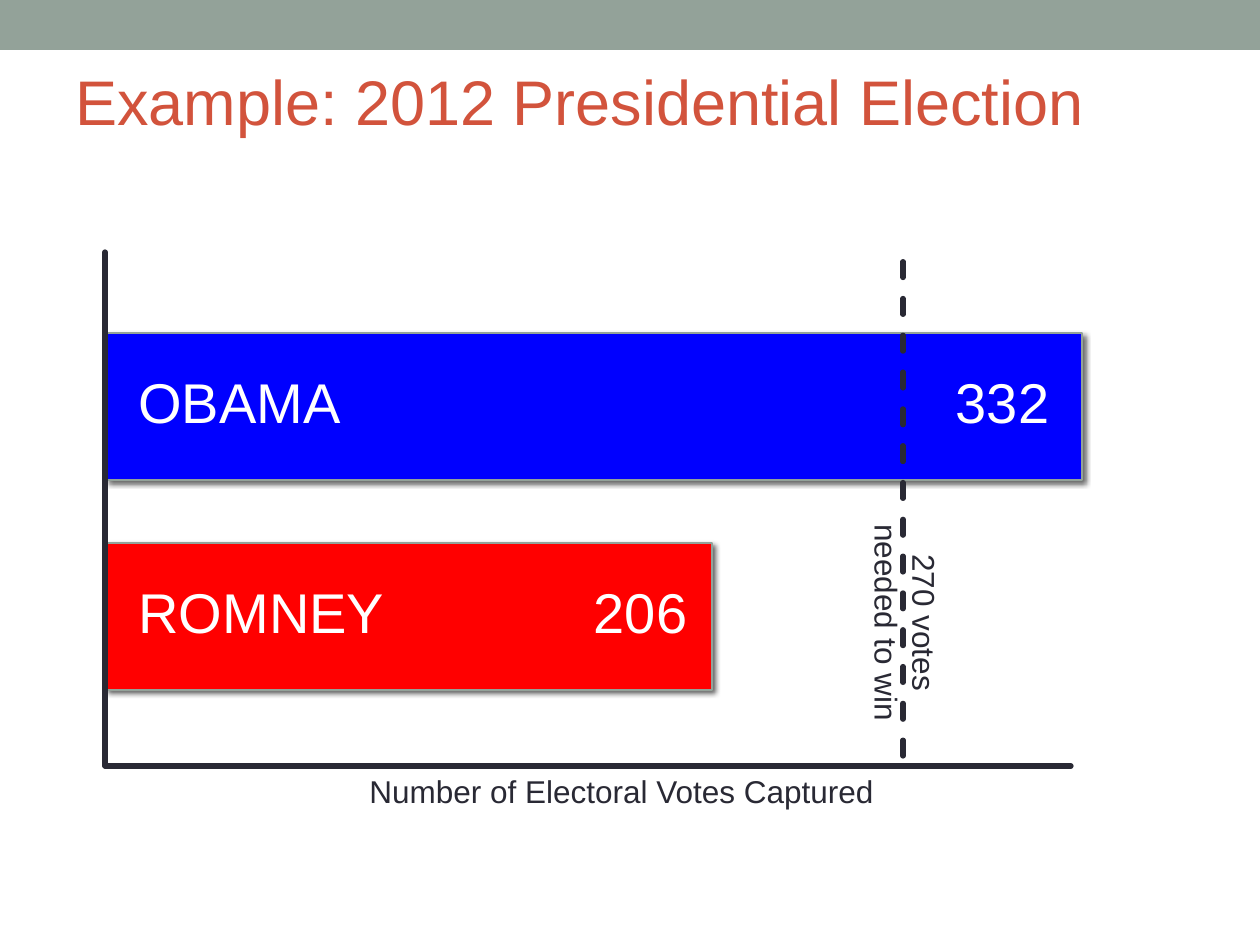
from dataclasses import dataclass

from lxml import etree
from pptx import Presentation
from pptx.dml.color import RGBColor
from pptx.enum.dml import MSO_LINE
from pptx.enum.shapes import MSO_CONNECTOR, MSO_SHAPE
from pptx.enum.text import MSO_ANCHOR, PP_ALIGN
from pptx.oxml.ns import qn
from pptx.util import Pt

RECTANGLE = MSO_SHAPE.RECTANGLE
STRAIGHT = MSO_CONNECTOR.STRAIGHT
DASH = MSO_LINE.DASH
TOP, MIDDLE = MSO_ANCHOR.TOP, MSO_ANCHOR.MIDDLE
LEFT, CENTER = PP_ALIGN.LEFT, PP_ALIGN.CENTER

EMU_PER_PX = 914400 / 126
FONT = "Arial"
COLORS = {
    "band": "93A299",
    "title": "D2533C",
    "ink": "292934",
    "obama": "0000FF",
    "romney": "FF0000",
    "label": "FFFFFF",
    "shadow": "000000",
}
BAR_LEFT, BAR_TOP, BAR_HEIGHT, BAR_STEP = 106, 333, 147, 210
PX_PER_VOTE = 2.94
LABEL_INDENT, LABEL_DROP, LABEL_HEIGHT = 20, 28, 81
TEXT_INSET = 13


@dataclass
class Candidate:
    name: str
    votes: int
    color: str
    figure_gap: int  # from the end of the figure to the end of the bar


@dataclass
class Rule:
    start: tuple[int, int]
    end: tuple[int, int]
    dashed: bool = False


CANDIDATES = [
    Candidate("OBAMA", 332, "obama", 32),
    Candidate("ROMNEY", 206, "romney", 24),
]
RULES = [
    Rule((903, 756), (903, 242), dashed=True),  # votes needed
    Rule((105, 766), (105, 252)),  # vertical axis
    Rule((1071, 766), (105, 766)),  # horizontal axis
]


def px(length: float) -> int:
    return round(length * EMU_PER_PX)


def rgb(color: str) -> RGBColor:
    return RGBColor.from_string(COLORS[color])


def add_box(shapes, x: int, y: int, width: int, height: int, color: str):
    box = shapes.add_shape(RECTANGLE, px(x), px(y), px(width), px(height))
    box.shadow.inherit = False
    box.fill.solid()
    box.fill.fore_color.rgb = rgb(color)
    box.line.fill.background()
    return box


def add_text(shapes, x: int, y: int, width: int, height: int, lines: list[str],
             size: int, color: str, align=LEFT, anchor=TOP, wrap: bool = True,
             tab: int = 0):
    box = shapes.add_textbox(px(x), px(y), px(width), px(height))
    frame = box.text_frame
    frame.word_wrap = wrap
    frame.vertical_anchor = anchor
    frame.text = "\n".join(lines)
    for paragraph in frame.paragraphs:
        paragraph.alignment = align
        if tab:
            tabs = etree.SubElement(paragraph._p.get_or_add_pPr(), qn("a:tabLst"))
            etree.SubElement(tabs, qn("a:tab"), pos=str(px(tab)), algn="r")
        paragraph.font.name = FONT
        paragraph.font.size = Pt(size)
        paragraph.font.color.rgb = rgb(color)
    return box


def add_shadow(box) -> None:
    effects = box._element.spPr.find(qn("a:effectLst"))
    shadow = etree.SubElement(
        effects, qn("a:outerShdw"), blurRad=str(Pt(3)), dist=str(Pt(2)),
        dir=str(45 * 60000), algn="tl", rotWithShape="0")
    tint = etree.SubElement(shadow, qn("a:srgbClr"), val=COLORS["shadow"])
    etree.SubElement(tint, qn("a:alpha"), val="60000")


def add_bar(shapes, row: int, candidate: Candidate) -> None:
    width = round(candidate.votes * PX_PER_VOTE)
    bar = add_box(shapes, BAR_LEFT, BAR_TOP + row * BAR_STEP, width, BAR_HEIGHT,
                  candidate.color)
    bar.line.color.rgb = rgb("band")
    bar.line.width = Pt(0.75)
    add_shadow(bar)


def add_bar_label(shapes, row: int, candidate: Candidate) -> None:
    width = round(candidate.votes * PX_PER_VOTE) - LABEL_INDENT
    add_text(shapes, BAR_LEFT + LABEL_INDENT, BAR_TOP + row * BAR_STEP + LABEL_DROP,
             width, LABEL_HEIGHT, [f"{candidate.name}\t{candidate.votes}"], 32,
             "label", tab=width - TEXT_INSET - candidate.figure_gap)


def add_rule(shapes, rule: Rule) -> None:
    line = shapes.add_connector(STRAIGHT, *map(px, rule.start + rule.end))
    line.line.color.rgb = rgb("ink")
    line.line.width = Pt(3)
    if rule.dashed:
        line.line.dash_style = DASH
    line.line._get_or_add_ln().set("cap", "rnd")
    etree.SubElement(line._element.spPr, qn("a:effectLst"))


def main() -> None:
    deck = Presentation()
    deck.slide_width, deck.slide_height = px(1260), px(945)
    shapes = deck.slides.add_slide(deck.slide_layouts[6]).shapes

    # Top band and title
    add_box(shapes, 0, 0, 1260, 50, "band")
    add_text(shapes, 63, 32, 1134, 136, ["Example: 2012 Presidential Election"],
             36, "title", anchor=MIDDLE)

    # Bars, then their labels
    for row, candidate in enumerate(CANDIDATES):
        add_bar(shapes, row, candidate)
    for row, candidate in enumerate(CANDIDATES):
        add_bar_label(shapes, row, candidate)

    # Axes and winning threshold
    for rule in RULES:
        add_rule(shapes, rule)

    # Captions
    add_text(shapes, 357, 766, 534, 50, ["Number of Electoral Votes Captured"],
             18, "ink")
    threshold = add_text(shapes, 794, 578, 223, 89, ["270 votes", "needed to win"],
                         18, "ink", align=CENTER, wrap=False)
    threshold.rotation = 90

    deck.save("out.pptx")


if __name__ == "__main__":
    main()
